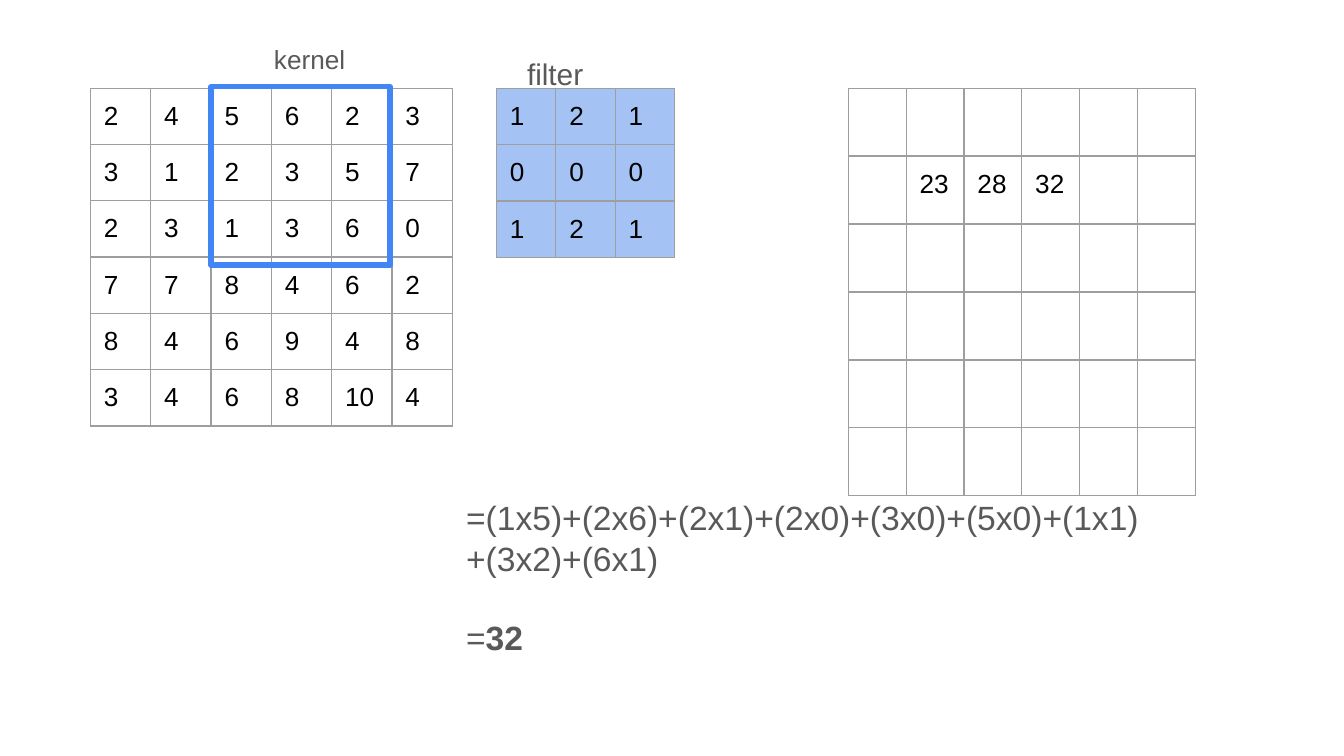
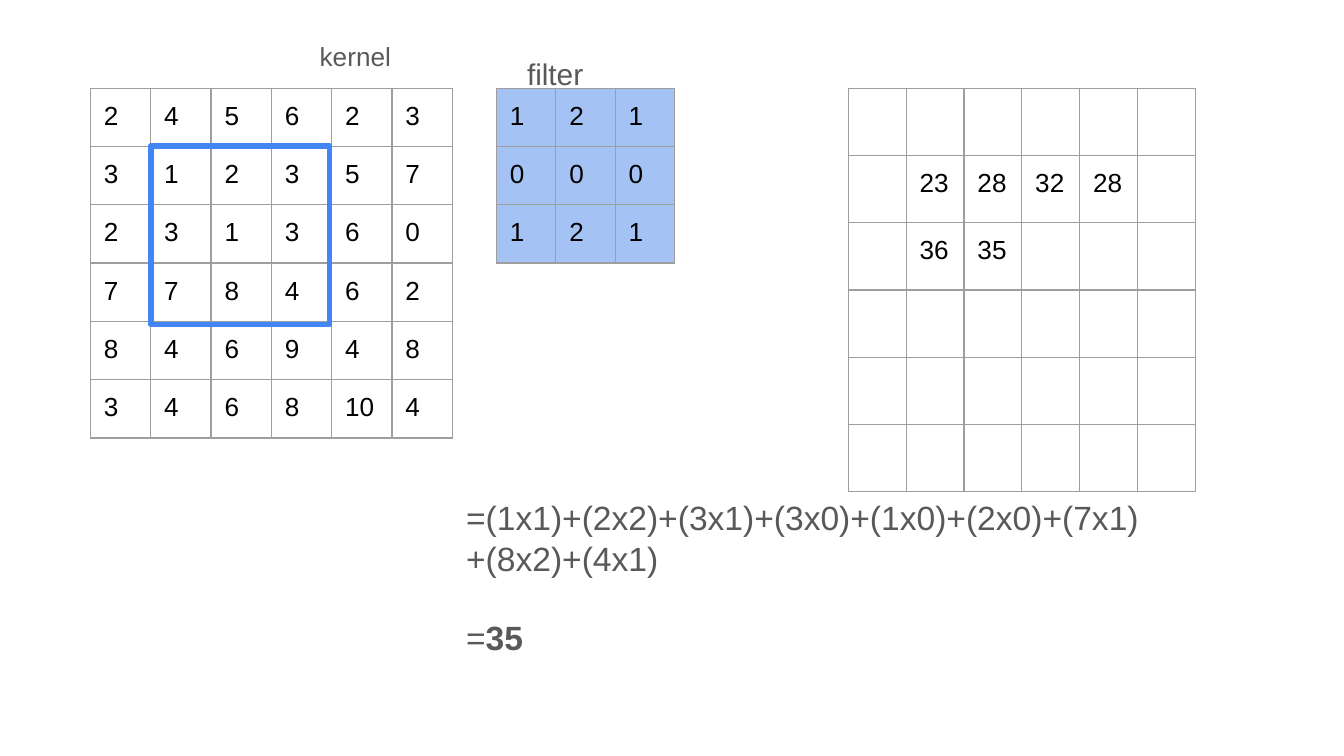
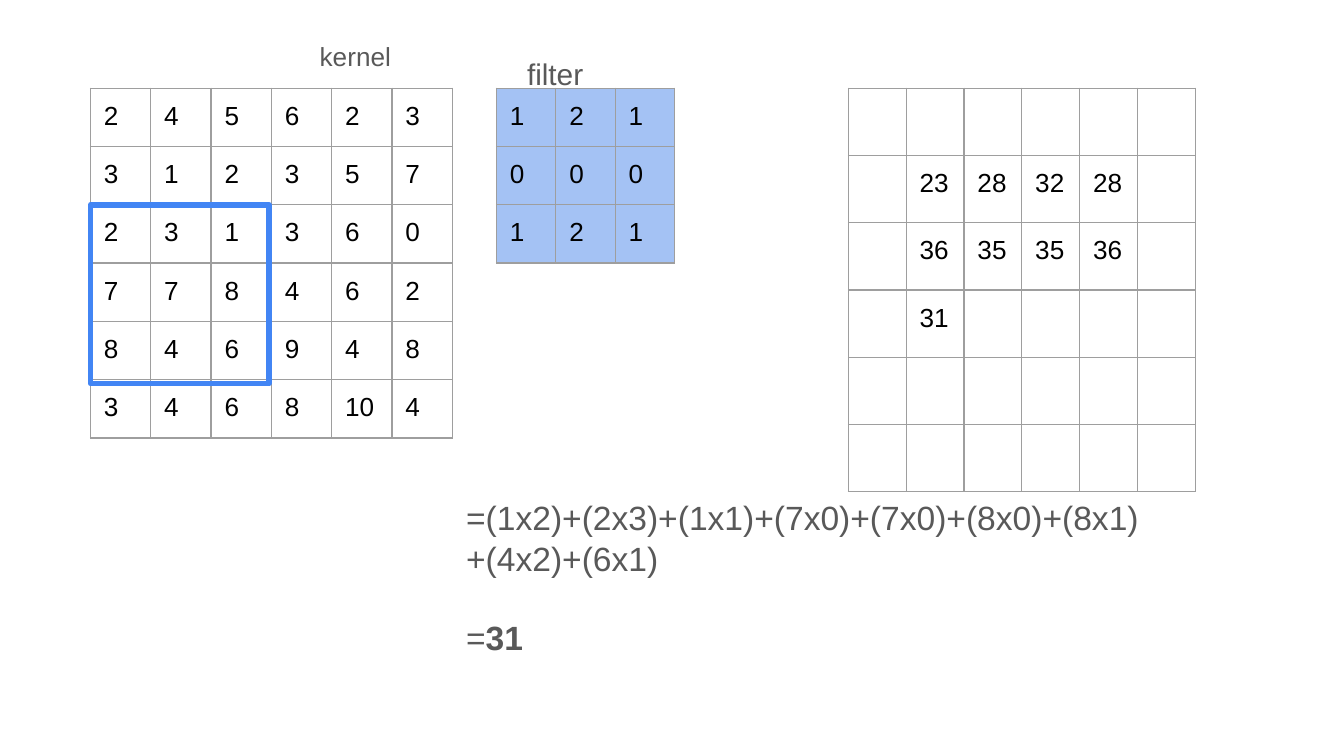
from lxml import etree
from pptx import Presentation
from pptx import util as u
from pptx.dml import color
from pptx.enum import shapes, text
from pptx.oxml import ns

W = 10
H = W * 9 / 16
GRID_TOP, GRID_SIDE = 6.56, 32.8
INPUT_LEFT, INPUT_COL = 6.73, 4.49
FRAME_TOP, FRAME_STEP, FRAME_SIDE = 6.45, 4.4, 13.3
BLACK, GREY, EDGE, BLUE, PALE = "000000", "595959", "9E9E9E", "4285F4", "A4C2F4"

INPUT = ["2 4 5 6 2 3", "3 1 2 3 5 7", "2 3 1 3 6 0",
         "7 7 8 4 6 2", "8 4 6 9 4 8", "3 4 6 8 10 4"]
FILTER = ["1 2 1", "0 0 0", "1 2 1"]
RESULTS = [23, 28, 32, 28, 36, 35, 35, 36, 31]

STEPS = [
    dict(window=(2, 0), label=(19.4, 2.2), shown=3, answer="32",
         sum="=(1x5)+(2x6)+(2x1)+(2x0)+(3x0)+(5x0)+(1x1)+(3x2)+(6x1)"),
    dict(window=(1, 1), label=(22.8, 2), shown=6, answer="35",
         sum="=(1x1)+(2x2)+(3x1)+(3x0)+(1x0)+(2x0)+(7x1)+(8x2)+(4x1)"),
    dict(window=(0, 2), label=(22.8, 2), shown=9, answer="31",
         sum="=(1x2)+(2x3)+(1x1)+(7x0)+(7x0)+(8x0)+(8x1)+(4x2)+(6x1)"),
]

prs = Presentation()
prs.slide_width, prs.slide_height = u.Inches(W), u.Inches(H)


def pct(*shares):
    return [u.Inches(share * W / 100) for share in shares]


def rgb(value):
    return color.RGBColor.from_string(value)


for step in STEPS:
    s = prs.slides.add_slide(prs.slide_layouts[6])
    window_col, window_row = step["window"]

    result = [[""] * 6 for _ in range(6)]
    for i, value in enumerate(RESULTS[:step["shown"]]):
        result[1 + i // 4][1 + i % 4] = str(value)

    grids = [
        (INPUT_LEFT, INPUT_COL, [1.1] + [4] * 5, [line.split() for line in INPUT], None),
        (36.94, 4.42, [4.2] * 3, [line.split() for line in FILTER], PALE),
        (63.13, 4.3, [4.3] * 6, result, None),
    ]
    for left, col, rows, values, fill in grids:
        n = len(values)
        frame = s.shapes.add_table(n, n, *pct(left, GRID_TOP, GRID_SIDE, GRID_SIDE))
        table = frame.table
        table.first_row = table.horz_banding = False
        for i in range(n):
            table.columns[i].width, table.rows[i].height = pct(col, rows[i])
            for j in range(n):
                cell = table.cell(i, j)
                cell.margin_left = cell.margin_right = u.Inches(0.1)
                cell.margin_top = cell.margin_bottom = u.Inches(0.1)
                tcPr = cell._tc.get_or_add_tcPr()
                for side in ("a:lnL", "a:lnR", "a:lnT", "a:lnB"):
                    ln = etree.SubElement(tcPr, ns.qn(side), w=str(u.Pt(0.75)))
                    solid = etree.SubElement(ln, ns.qn("a:solidFill"))
                    etree.SubElement(solid, ns.qn("a:srgbClr"), val=EDGE)
                if fill:
                    cell.fill.solid()
                    cell.fill.fore_color.rgb = rgb(fill)
                else:
                    cell.fill.background()
                if values[i][j]:
                    r = cell.text_frame.paragraphs[0].add_run()
                    r.text = values[i][j]
                    r.font.name, r.font.size = "Arial", u.Pt(14)
                    r.font.color.rgb = rgb(BLACK)
        frame.width, frame.height = pct(GRID_SIDE, GRID_SIDE)

        if left == INPUT_LEFT:
            sp = s.shapes.add_shape(
                shapes.MSO_SHAPE.RECTANGLE,
                *pct(INPUT_LEFT + window_col * INPUT_COL,
                     FRAME_TOP + window_row * FRAME_STEP, FRAME_SIDE, FRAME_SIDE))
            sp.shadow.inherit = False
            sp.fill.background()
            sp.line.color.rgb = rgb(BLUE)
            sp.line.width = u.Pt(3)

    texts = [
        ((*step["label"], 8.1, 4.4), 14, [[("kernel", False)]]),
        ((38.23, 3.14, 61.8, 4.7), 16, [[("filter", False)]]),
        ((33.7, 36, 52.4, 17.2), 18,
         [[(step["sum"], False)], [("=", False), (step["answer"], True)]]),
    ]
    for box, size, paragraphs in texts:
        tf = s.shapes.add_textbox(*pct(*box)).text_frame
        tf.word_wrap = True
        tf.auto_size = text.MSO_AUTO_SIZE.SHAPE_TO_FIT_TEXT
        tf.margin_left = tf.margin_right = u.Inches(0.1)
        tf.margin_top = tf.margin_bottom = u.Inches(0.1)
        for i, runs in enumerate(paragraphs):
            p = tf.add_paragraph() if i else tf.paragraphs[0]
            if i:
                p.space_before = u.Pt(21)
            for words, bold in runs:
                r = p.add_run()
                r.text = words
                r.font.name, r.font.size, r.font.bold = "Arial", u.Pt(size), bold
                r.font.color.rgb = rgb(GREY)

prs.save("out.pptx")
